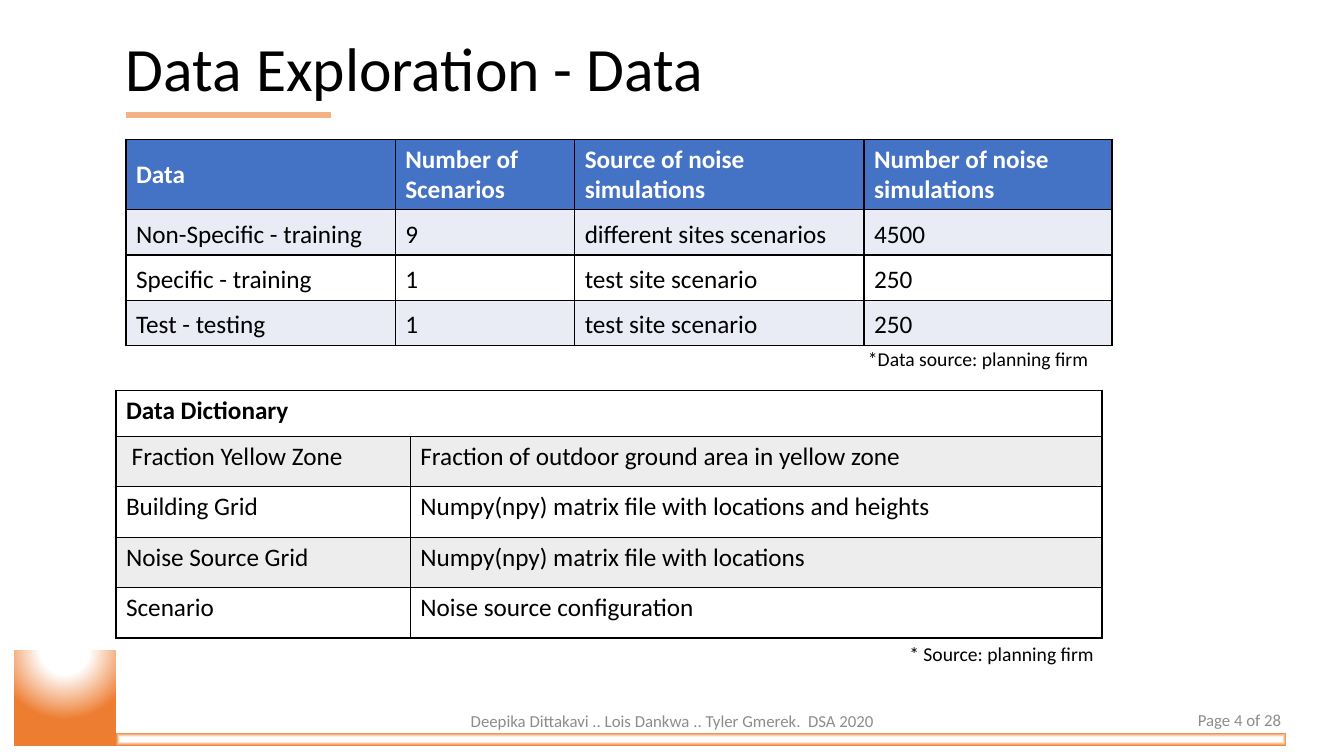
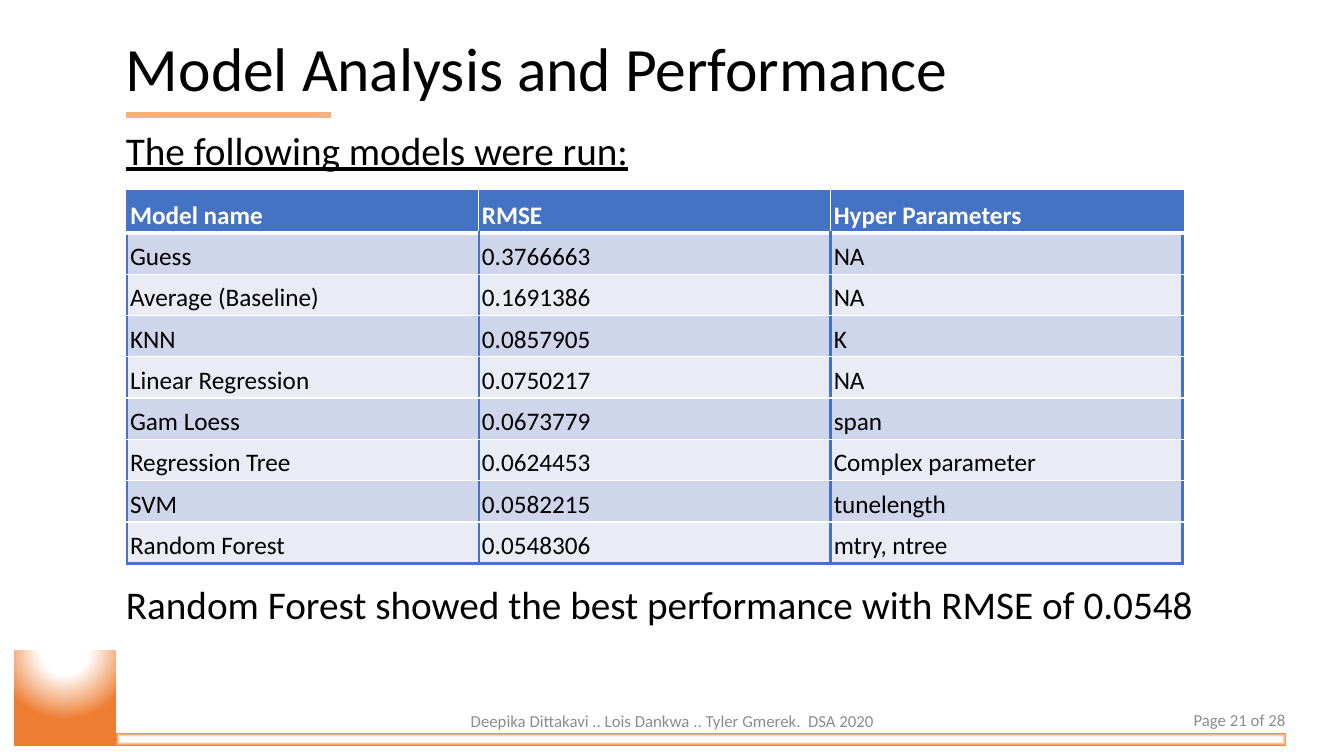
from lxml import etree
from pptx import Presentation
from pptx.dml.color import RGBColor
from pptx.enum import shapes, text
from pptx.oxml import ns
from pptx.util import Inches, Pt

FONT = "Calibri"
BLACK = RGBColor(0, 0, 0)
WHITE = RGBColor(255, 255, 255)
GRAY = RGBColor(0x8C, 0x8C, 0x8C)
ORANGE = RGBColor(0xED, 0x7D, 0x31)
PEACH = RGBColor(0xF4, 0xB1, 0x83)
BLUE = RGBColor(0x44, 0x72, 0xC4)
MIST = RGBColor(0xE9, 0xEB, 0xF5)
SKY = RGBColor(0xCF, 0xD5, 0xEA)
SILVER = RGBColor(0xED, 0xED, 0xED)

TOP, MID, LOW = (text.MSO_ANCHOR.TOP, text.MSO_ANCHOR.MIDDLE,
                 text.MSO_ANCHOR.BOTTOM)
CENTER = text.PP_ALIGN.CENTER

FOOTER = "Deepika Dittakavi .. Lois Dankwa .. Tyler Gmerek.  DSA 2020"
PAGES = 28

SETS = [
    ("Data", "Number of Scenarios", "Source of noise simulations",
     "Number of noise simulations"),
    ("Non-Specific - training", "9", "different sites scenarios", "4500"),
    ("Specific - training", "1", "test site scenario", "250"),
    ("Test - testing", "1", "test site scenario", "250"),
]
TERMS = [
    ("Data Dictionary", ""),
    (" Fraction Yellow Zone", "Fraction of outdoor ground area in yellow zone"),
    ("Building Grid", "Numpy(npy) matrix file with locations and heights"),
    ("Noise Source Grid", "Numpy(npy) matrix file with locations"),
    ("Scenario", "Noise source configuration"),
]
MODELS = [
    ("Model name", "RMSE", "Hyper Parameters"),
    ("Guess", "0.3766663", "NA"),
    ("Average (Baseline)", "0.1691386", "NA"),
    ("KNN", "0.0857905", "K"),
    ("Linear Regression", "0.0750217", "NA"),
    ("Gam Loess", "0.0673779", "span"),
    ("Regression Tree", "0.0624453", "Complex parameter"),
    ("SVM", "0.0582215", "tunelength"),
    ("Random Forest", "0.0548306", "mtry, ntree"),
]


def write(frame, words, size=18, color=BLACK, bold=False, under=False,
          align=None, space=None):
    para = frame.paragraphs[0]
    para.alignment = align
    para.line_spacing = space
    run = para.add_run()
    run.text = words
    font = run.font
    font.name, font.size, font.bold = FONT, Pt(size), bold
    font.underline = under
    font.color.rgb = color


def label(slide, box, words, anchor=TOP, **style):
    frame = slide.shapes.add_textbox(*map(Inches, box)).text_frame
    frame.word_wrap = True
    frame.vertical_anchor = anchor
    write(frame, words, **style)


def glow(slide, box, kind, focus):
    shape = slide.shapes.add_shape(shapes.MSO_SHAPE.RECTANGLE,
                                   *map(Inches, box))
    shape.shadow.inherit = False
    shape.line.fill.background()
    grad = etree.Element(ns.qn("a:gradFill"), rotWithShape="1")
    stops = etree.SubElement(grad, ns.qn("a:gsLst"))
    for pos, color in ((0, WHITE), (35, WHITE), (100, ORANGE)):
        stop = etree.SubElement(stops, ns.qn("a:gs"), pos=str(pos * 1000))
        etree.SubElement(stop, ns.qn("a:srgbClr"), val=str(color))
    way = etree.SubElement(grad, ns.qn("a:path"), {"path": kind})
    etree.SubElement(way, ns.qn("a:fillToRect"),
                     {side: str(part * 1000)
                      for side, part in zip("ltrb", focus)})
    shape._element.spPr.insert(2, grad)


def edge(cell, sides):
    props = cell._tc.get_or_add_tcPr()
    for spot, side in enumerate("LRTB"):
        color, width = sides[side]
        line = etree.Element(ns.qn("a:ln" + side), w=str(Pt(width)))
        fill = etree.SubElement(line, ns.qn("a:solidFill"))
        etree.SubElement(fill, ns.qn("a:srgbClr"), val=str(color))
        props.insert(spot, line)


def grid(slide, spot, rows, cols, highs, fills, head, sides, anchors,
         inset=None):
    """fills and anchors hold the header's value, then the body's."""
    size = sum(cols), sum(highs)
    table = slide.shapes.add_table(len(rows), len(cols),
                                   *map(Inches, spot + size)).table
    table.horz_banding = table.first_row = False
    for col, wide in zip(table.columns, cols):
        col.width = Inches(wide)
    for r, (row, high) in enumerate(zip(rows, highs)):
        table.rows[r].height = Inches(high)
        for c, words in enumerate(row):
            cell = table.cell(r, c)
            cell.fill.solid()
            cell.fill.fore_color.rgb = fills[0] if r == 0 else fills[2 - r % 2]
            cell.vertical_anchor = anchors[min(r, 1)]
            if inset:
                cell.margin_left = cell.margin_right = Inches(inset[0])
                cell.margin_top = cell.margin_bottom = Inches(inset[1])
            if words:
                write(cell.text_frame, words, bold=r == 0,
                      color=BLACK if r else head)
            edge(cell, sides(r, c))
    return table


def black(r, c):
    return dict.fromkeys("LRTB", (BLACK, 1))


def framed(r, c):
    rim, thin = (BLUE, 2.25), (WHITE, 1)
    if r == 0:
        return {"L": thin if c else rim,
                "R": rim if c == len(MODELS[0]) - 1 else thin,
                "T": rim, "B": (WHITE, 3)}
    return {"L": rim, "R": rim, "T": (WHITE, 3) if r == 1 else thin,
            "B": rim if r == len(MODELS) - 1 else thin}


def start(deck, title, page):
    slide = deck.slides.add_slide(deck.slide_layouts[6])
    label(slide, (4.42, 6.95, 4.5, 0.4), FOOTER, anchor=MID, size=12,
          color=GRAY, align=CENTER)
    glow(slide, (0.14, 6.45, 1.01, 0.95), "circle", (50, -80, 50, 180))
    glow(slide, (1.15, 7.27, 11.61, 0.13), "shape", (50, 50, 50, 50))
    label(slide, (1.15, 0.33, 11.39, 0.95), title, size=44, space=0.9)
    rule = slide.shapes.add_connector(
        shapes.MSO_CONNECTOR.STRAIGHT,
        *map(Inches, (1.25, 1.14, 3.28, 1.14)))
    rule.line.color.rgb = PEACH
    rule.line.width = Pt(4.25)
    etree.SubElement(rule._element.spPr, ns.qn("a:effectLst"))
    label(slide, (11.73, 6.94, 1.13, 0.4), f"Page {page} of {PAGES}",
          anchor=MID, size=12, color=GRAY, align=CENTER)
    return slide


def main():
    deck = Presentation()
    deck.slide_width, deck.slide_height = Inches(13.33), Inches(7.5)

    data = start(deck, "Data Exploration - Data", 4)
    grid(data, (1.25, 1.38), SETS, (2.67, 1.78, 2.87, 2.46),
         [0.7] + [0.45] * 3, (BLUE, MIST, WHITE), WHITE, black, (MID, LOW))
    label(data, (8.51, 3.39, 2.63, 0.34), "*Data source: planning firm",
          size=14)
    terms = grid(data, (1.15, 3.87), TERMS, (2.92, 6.86),
                 [0.46] + [0.5] * 4, (WHITE, SILVER, WHITE), BLACK, black,
                 (TOP, TOP))
    terms.cell(0, 0).merge(terms.cell(0, 1))
    label(data, (8.92, 6.32, 2.63, 0.34), "* Source: planning firm", size=14)

    model = start(deck, "Model Analysis and Performance", 21)
    label(model, (1.15, 1.2, 6.86, 0.57), "The following models were run:",
          size=28, under=True)
    grid(model, (1.26, 1.9), MODELS, (3.49,) * 3, [0.41] * len(MODELS),
         (BLUE, SKY, MIST), WHITE, framed, (LOW, LOW), inset=(0.03, 0.02))
    label(model, (1.15, 5.71, 10.82, 0.57),
          "Random Forest showed the best performance with RMSE of 0.0548",
          size=28)
    deck.save("out.pptx")


if __name__ == "__main__":
    main()
